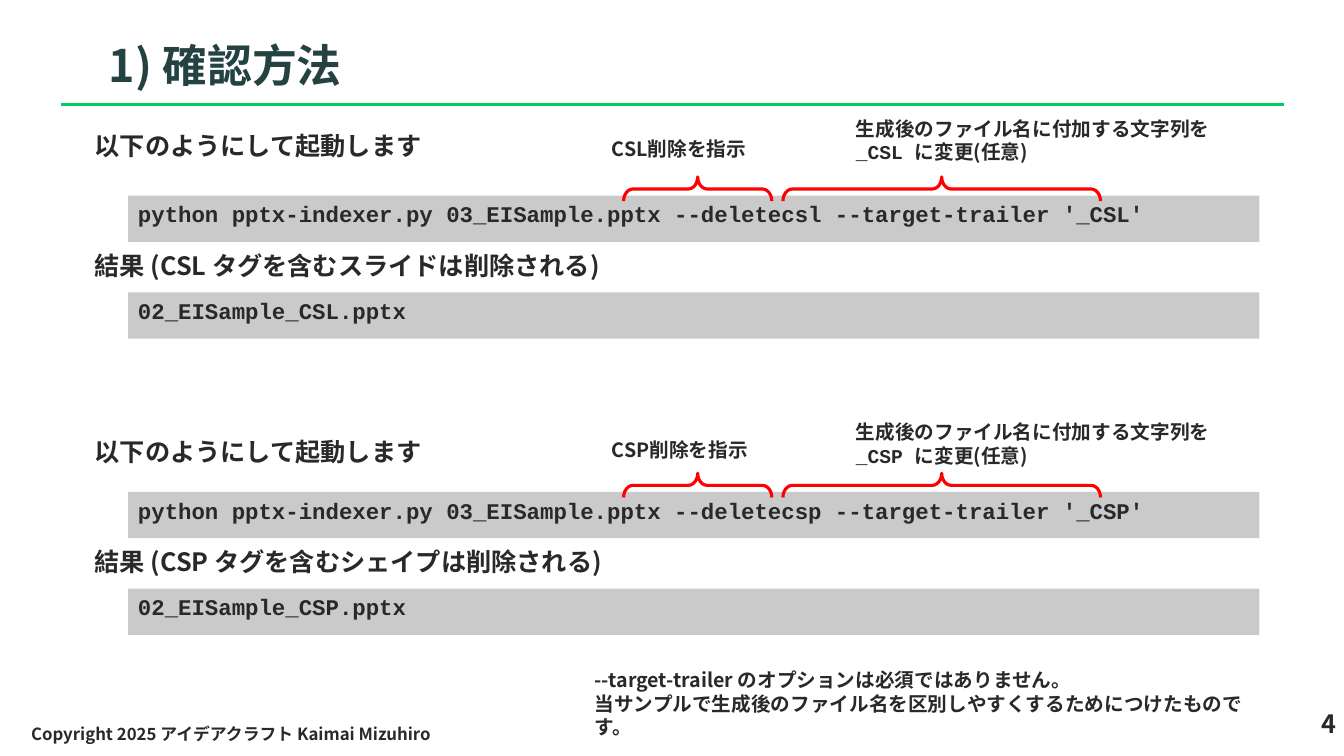
from dataclasses import dataclass

from lxml import etree
from pptx import Presentation
from pptx import util as u
from pptx.dml.color import RGBColor
from pptx.enum import shapes, text
from pptx.oxml.ns import qn

PX = 9144  # EMU per px, 100 px to the inch
SANS, MONO = "Noto Sans CJK JP", "Courier New"
INK, TITLE_INK, GREY, GREEN, RED = "292929", "244242", "CACACA", "00CC66", "FF0000"
LEFT, RIGHT = text.PP_ALIGN.LEFT, text.PP_ALIGN.RIGHT
TOP, MIDDLE = text.MSO_ANCHOR.TOP, text.MSO_ANCHOR.MIDDLE


@dataclass(frozen=True)
class Box:
    left: int
    top: int
    width: int
    height: int

    def emu(self) -> list[int]:
        return [v * PX for v in (self.left, self.top, self.width, self.height)]


@dataclass(frozen=True)
class Style:
    size: int
    font: str = SANS
    color: str = INK
    align: text.PP_ALIGN = LEFT
    anchor: text.MSO_ANCHOR = TOP


@dataclass(frozen=True)
class Example:
    """One command with its result; tops are in px."""
    tag: str
    target: str
    intro_top: int
    delete_top: int
    trailer_top: int
    command_top: int


HEADING, NOTE, CODE = Style(18), Style(14), Style(16, MONO)
EXAMPLES = [
    Example("CSL", "スライド", 124, 131, 111, 194),
    Example("CSP", "シェイプ", 428, 430, 412, 488),
]
BRACES = [(680, 147), (922, 315)]  # left and length before rotation
BRACE_DEPTH = 24
BRACE_RISE = 7  # from the brace's centre to the top of the command


def rgb(value: str) -> RGBColor:
    return RGBColor.from_string(value)


def write(sp, paragraphs: list[list[tuple[str, str]]], style: Style) -> None:
    """Fill a shape with paragraphs of (words, font) runs."""
    tf = sp.text_frame
    tf.word_wrap = True
    tf.auto_size = text.MSO_AUTO_SIZE.NONE
    tf.vertical_anchor = style.anchor
    for i, runs in enumerate(paragraphs):
        p = tf.add_paragraph() if i else tf.paragraphs[0]
        p.alignment = style.align
        p.font.size = u.Pt(style.size)
        p.font.bold = True
        p.font.name = style.font
        p.font.color.rgb = rgb(style.color)
        east_asian = etree.SubElement(p._p.pPr.find(qn("a:defRPr")), qn("a:ea"))
        east_asian.set("typeface", SANS)
        for words, font in runs:
            r = p.add_run()
            r.text = words
            if font != style.font:
                r.font.name = font


def add_text(slide, box: Box, style: Style, *lines: str) -> None:
    sp = slide.shapes.add_textbox(*box.emu())
    write(sp, [[(line, style.font)] for line in lines], style)


def add_code(slide, top: int, code: str) -> None:
    sp = slide.shapes.add_shape(shapes.MSO_SHAPE.RECTANGLE,
                                *Box(127, top, 1122, 46).emu())
    sp.shadow.inherit = False
    sp.fill.solid()
    sp.fill.fore_color.rgb = rgb(GREY)
    sp.line.fill.background()
    write(sp, [[(code, MONO)]], CODE)


def add_brace(slide, left: int, length: int, centre: int) -> None:
    box = Box(left, centre - length // 2, BRACE_DEPTH, length)
    sp = slide.shapes.add_shape(shapes.MSO_SHAPE.RIGHT_BRACE, *box.emu())
    sp.rotation = 270
    sp.adjustments[0] = 0.39
    sp.shadow.inherit = False
    sp.fill.background()
    sp.line.color.rgb = rgb(RED)
    sp.line.width = u.Pt(2.25)


def add_example(slide, ex: Example) -> None:
    option = ex.tag.lower()
    add_text(slide, Box(84, ex.intro_top, 1142, 46), HEADING,
             "以下のようにして起動します")
    add_code(slide, ex.command_top, "python pptx-indexer.py 03_EISample.pptx "
             f"--delete{option} --target-trailer '_{ex.tag}'")
    add_text(slide, Box(84, ex.command_top + 49, 638, 46), HEADING,
             f"結果 ({ex.tag} タグを含む{ex.target}は削除される)")
    add_code(slide, ex.command_top + 96, f"02_EISample_{ex.tag}.pptx")
    for left, length in BRACES:
        add_brace(slide, left, length, ex.command_top - BRACE_RISE)
    add_text(slide, Box(597, ex.delete_top, 220, 34), NOTE, f"{ex.tag}削除を指示")
    sp = slide.shapes.add_textbox(*Box(839, ex.trailer_top, 382, 57).emu())
    write(sp, [[("生成後のファイル名に付加する文字列を ", SANS),
                (f"_{ex.tag} ", MONO), ("に変更(任意)", SANS)]], NOTE)


def add_title(slide, words: str) -> None:
    sp = slide.shapes.title
    sp.left, sp.top, sp.width, sp.height = Box(98, 29, 1198, 71).emu()
    write(sp, [[(words, SANS)]], Style(32, color=TITLE_INK, anchor=MIDDLE))
    rule = slide.shapes.add_connector(shapes.MSO_CONNECTOR.STRAIGHT,
                                      61 * PX, 104 * PX, 1273 * PX, 104 * PX)
    rule.line.color.rgb = rgb(GREEN)
    rule.line.width = u.Pt(2.25)
    etree.SubElement(rule._element.spPr, qn("a:effectLst"))


def main() -> None:
    prs = Presentation()
    prs.slide_width, prs.slide_height = 1333 * PX, 750 * PX
    slide = prs.slides.add_slide(prs.slide_layouts[5])
    add_title(slide, "1) 確認方法")
    for ex in EXAMPLES:
        add_example(slide, ex)
    add_text(slide, Box(580, 658, 677, 57), NOTE,
             "--target-trailer のオプションは必須ではありません。",
             "当サンプルで生成後のファイル名を区別しやすくするためにつけたものです。")
    add_text(slide, Box(21, 708, 606, 40), Style(12, anchor=MIDDLE),
             "Copyright 2025 アイデアクラフト Kaimai Mizuhiro")
    add_text(slide, Box(1171, 698, 164, 50), Style(18, align=RIGHT), "4")
    prs.save("out.pptx")


if __name__ == "__main__":
    main()
